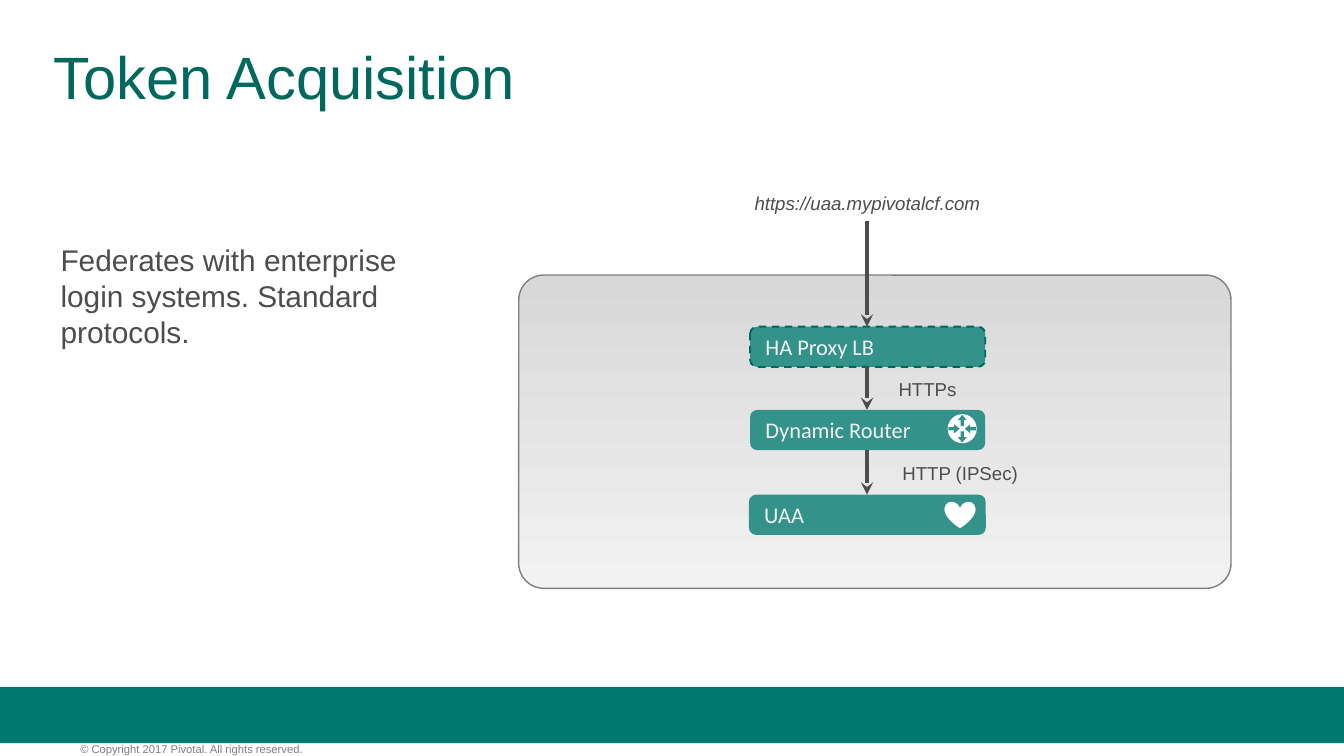
from lxml import etree
from pptx import Presentation
from pptx.dml.color import RGBColor
from pptx.enum.dml import MSO_LINE
from pptx.enum.shapes import MSO_CONNECTOR, MSO_SHAPE as SHAPE
from pptx.enum.text import MSO_ANCHOR as ANCHOR, PP_ALIGN as ALIGN
from pptx.oxml.ns import qn
from pptx.util import Pt

DARK_GREEN = RGBColor(0x00, 0x68, 0x5D)
BAND_GREEN = RGBColor(0x00, 0x78, 0x6E)
BOX_GREEN = RGBColor(0x33, 0x92, 0x8A)
TEXT_GRAY = RGBColor(0x4D, 0x4D, 0x4D)
MID_GRAY = RGBColor(0x7F, 0x7F, 0x7F)
PANEL_TOP = RGBColor(0xD8, 0xD8, 0xD8)
LIGHT_GRAY = RGBColor(0xF2, 0xF2, 0xF2)
WHITE = RGBColor(0xFF, 0xFF, 0xFF)

TITLE = "Token Acquisition"
BODY = ["Federates with enterprise", "login systems. Standard protocols."]
COPYRIGHT = "© Copyright 2017 Pivotal. All rights reserved."

# name, left, top, width
BOXES = [
    ("HA Proxy LB", 401.8, 175, 126),
    ("Dynamic Router", 401.8, 219.6, 126),
    ("UAA", 401.2, 265, 126.9),
]
BOX_HEIGHT = 21.6
FLOW_X = 464.5
FLOW_START = 118.3

# text, left, top, width, italic
LABELS = [
    ("https://uaa.mypivotalcf.com", 396.6, 99.4, 136, True),
    ("HTTPs", 470.9, 199, 52, False),
    ("HTTP (IPSec)", 474, 243.7, 80.6, False),
]
LABEL_HEIGHT = 19.4

ROUTER_CENTER = (515.5, 229.7)
ROUTER_DIAMETER = 15.6
# arrow shape, horizontal and vertical direction from the icon's centre
ROUTER_ARROWS = [
    (SHAPE.UP_ARROW, 0, -1),
    (SHAPE.DOWN_ARROW, 0, 1),
    (SHAPE.LEFT_ARROW, 1, 0),
    (SHAPE.RIGHT_ARROW, -1, 0),
]
ARROW_LENGTH, ARROW_WIDTH, ARROW_OFFSET = 6, 4.8, 4.4


def add_shape(slide, kind, left, top, width, height, fill=None):
    shape = slide.shapes.add_shape(kind, Pt(left), Pt(top), Pt(width), Pt(height))
    shape.shadow.inherit = False
    shape.line.fill.background()
    if fill is not None:
        shape.fill.solid()
        shape.fill.fore_color.rgb = fill
    return shape


def write(shape, lines, size, color, font="Arial", italic=False,
          align=ALIGN.LEFT, anchor=ANCHOR.TOP, insets=(0, 0), spacing=None):
    """Fill a shape with one paragraph per line; insets are horizontal, vertical."""
    frame = shape.text_frame
    frame.word_wrap = True
    frame.vertical_anchor = anchor
    frame.margin_left = frame.margin_right = Pt(insets[0])
    frame.margin_top = frame.margin_bottom = Pt(insets[1])
    for index, line in enumerate(lines):
        paragraph = frame.add_paragraph() if index else frame.paragraphs[0]
        paragraph.alignment = align
        paragraph.line_spacing = spacing
        run = paragraph.add_run()
        run.text = line
        run.font.name = font
        run.font.size = Pt(size)
        run.font.italic = italic
        run.font.color.rgb = color


def add_text(slide, left, top, width, height, lines, size, color, **style):
    box = slide.shapes.add_textbox(Pt(left), Pt(top), Pt(width), Pt(height))
    write(box, lines, size, color, **style)


def add_flow_arrow(slide, start, end):
    arrow = slide.shapes.add_connector(
        MSO_CONNECTOR.STRAIGHT, Pt(FLOW_X), Pt(start), Pt(FLOW_X), Pt(end))
    arrow.line.color.rgb = TEXT_GRAY
    arrow.line.width = Pt(2.25)
    etree.SubElement(arrow.line._get_or_add_ln(), qn("a:tailEnd"), type="stealth")
    etree.SubElement(arrow._element.spPr, qn("a:effectLst"))


def add_panel(slide):
    panel = add_shape(slide, SHAPE.ROUNDED_RECTANGLE, 277.9, 147.4, 381.6, 167.8)
    panel.adjustments[0] = 0.08
    panel.fill.gradient()
    panel.fill.gradient_angle = 270
    for stop, color in zip(panel.fill.gradient_stops, (PANEL_TOP, LIGHT_GRAY)):
        stop.color.rgb = color
    panel.line.color.rgb = MID_GRAY
    panel.line.width = Pt(0.75)


def add_flow(slide):
    start = FLOW_START
    for name, left, top, width in BOXES:
        box = add_shape(slide, SHAPE.ROUNDED_RECTANGLE, left, top, width,
                        BOX_HEIGHT, BOX_GREEN)
        box.adjustments[0] = 0.18
        write(box, [name], 12, LIGHT_GRAY, font="Calibri",
              anchor=ANCHOR.MIDDLE, insets=(7.2, 0))
        if name == "HA Proxy LB":
            box.line.color.rgb = DARK_GREEN
            box.line.width = Pt(1)
            box.line.dash_style = MSO_LINE.DASH
        add_flow_arrow(slide, start, top)
        start = top + BOX_HEIGHT
    for text, left, top, width, italic in LABELS:
        add_text(slide, left, top, width, LABEL_HEIGHT, [text], 10, TEXT_GRAY,
                 italic=italic, align=ALIGN.CENTER, insets=(7.2, 3.6))


def add_router_icon(slide):
    center_x, center_y = ROUTER_CENTER
    radius = ROUTER_DIAMETER / 2
    add_shape(slide, SHAPE.OVAL, center_x - radius, center_y - radius,
              ROUTER_DIAMETER, ROUTER_DIAMETER, WHITE)
    for kind, across, down in ROUTER_ARROWS:
        width, height = (ARROW_LENGTH, ARROW_WIDTH) if across else (ARROW_WIDTH, ARROW_LENGTH)
        arrow = add_shape(slide, kind,
                          center_x + across * ARROW_OFFSET - width / 2,
                          center_y + down * ARROW_OFFSET - height / 2,
                          width, height, BOX_GREEN)
        arrow.adjustments[0] = 0.36
        arrow.adjustments[1] = 0.6


def main():
    presentation = Presentation()
    presentation.slide_width, presentation.slide_height = Pt(720), Pt(405)
    slide = presentation.slides.add_slide(presentation.slide_layouts[6])

    add_shape(slide, SHAPE.RECTANGLE, 0, 368, 720, 30.2, BAND_GREEN)
    add_text(slide, 43, 397.6, 179.3, 7.2, [COPYRIGHT], 6, MID_GRAY)
    add_text(slide, 28.8, 25.9, 662.4, 36, [TITLE], 32, DARK_GREEN, spacing=0.9)
    add_text(slide, 25.4, 126, 244, 200.9, BODY, 16, TEXT_GRAY, insets=(7.2, 3.6))
    add_panel(slide)
    add_flow(slide)
    add_router_icon(slide)
    add_shape(slide, SHAPE.HEART, 506, 268.6, 16.6, 14.4, WHITE)

    presentation.save("out.pptx")


if __name__ == "__main__":
    main()
